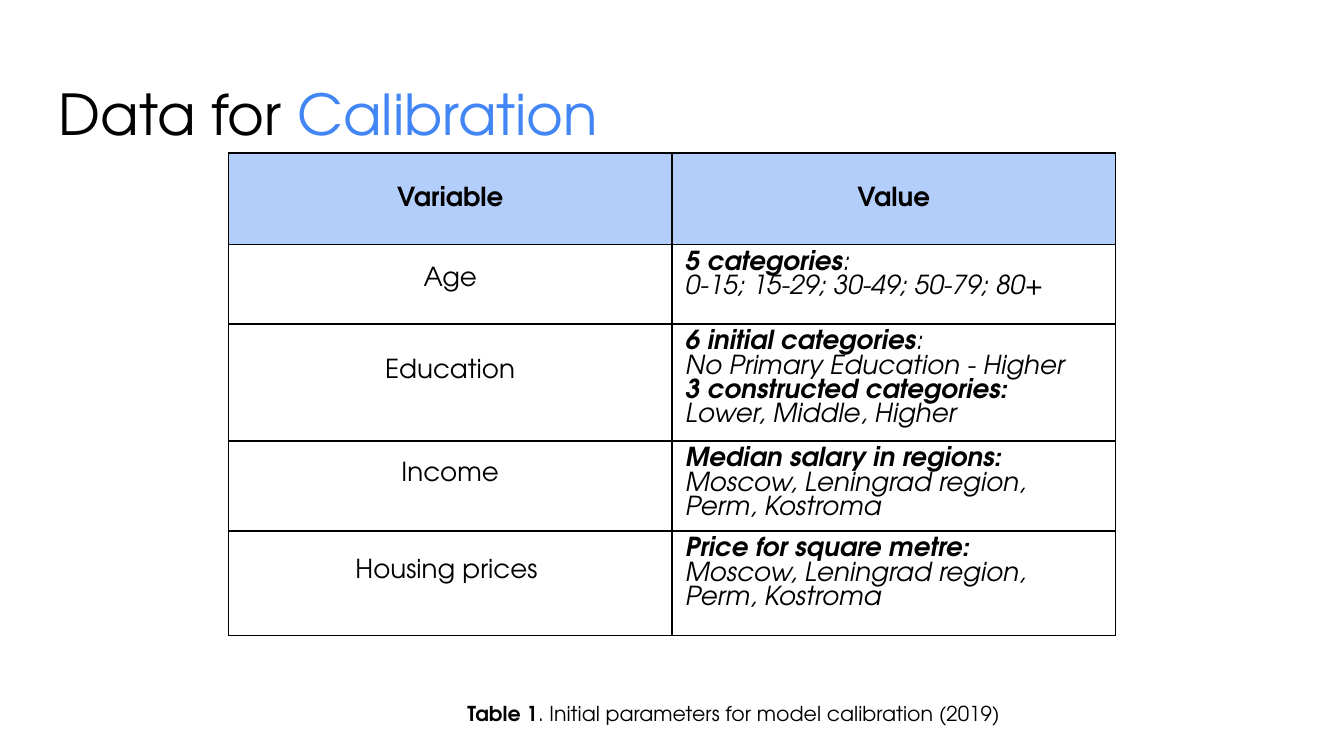
from lxml.etree import SubElement
from pptx import Presentation
from pptx.dml.color import RGBColor
from pptx.enum.text import MSO_ANCHOR, PP_ALIGN
from pptx.oxml.ns import qn
from pptx.util import Inches, Pt

FONT = "TeX Gyre Adventor"
BLACK = RGBColor(0x00, 0x00, 0x00)
BLUE = RGBColor(0x42, 0x85, 0xF4)
PALE_BLUE = RGBColor(0xB3, 0xCE, 0xFB)

REGIONS = "Moscow, Leningrad region, Perm, Kostroma"
HEADINGS = ["Variable", "Value"]
HEADING_HEIGHT = 0.68
VARIABLES = [
    ("Age", 0.59, 0.08, [[("5 categories", True), (":", False)],
                         [("0-15; 15-29; 30-49; 50-79; 80+", False)]]),
    ("Education", 0.87, 0.17, [[("6 initial categories", True), (":", False)],
                               [("No Primary Education - Higher", False)],
                               [("3 constructed categories:", True)],
                               [("Lower, Middle, Higher", False)]]),
    ("Income", 0.67, 0.17, [[("Median salary in regions:", True)],
                            [(REGIONS, False)]]),
    ("Housing prices ", 0.78, 0.17, [[("Price for square metre:", True)],
                                     [(REGIONS, False)]]),
]


def style_paragraph(para, size, bold=None, italic=None):
    """Set the font shared by every run of a paragraph."""
    para.font.name = FONT
    para.font.size = Pt(size)
    para.font.color.rgb = BLACK
    para.font.bold = bold
    para.font.italic = italic


def add_span(para, text, bold=None, color=None):
    """Append a run with its own weight or colour."""
    span = para.add_run()
    span.text = text
    span.font.bold = bold
    if color is not None:
        span.font.color.rgb = color


def add_text_box(page, left, top, width, height, size, inset):
    """Add a wrapping text box and return its paragraph."""
    box = page.shapes.add_textbox(Inches(left), Inches(top), Inches(width), Inches(height))
    frame = box.text_frame
    frame.word_wrap = True
    frame.margin_top = frame.margin_bottom = Inches(inset)
    para = frame.paragraphs[0]
    style_paragraph(para, size)
    return para


def add_title(page, left, top, width, height):
    """Place the two-colour title."""
    para = add_text_box(page, left, top, width, height, 30.2, 0.1)
    add_span(para, "Data for ")
    add_span(para, "Calibration", color=BLUE)


def add_caption(page, left, top, width, height):
    """Place the table caption."""
    para = add_text_box(page, left, top, width, height, 11, 0.05)
    add_span(para, "Table 1", bold=True)
    add_span(para, ". Initial parameters for model calibration (2019)")


def add_borders(cell):
    """Draw a thin black line on each side of a cell."""
    properties = cell._tc.get_or_add_tcPr()
    for side in ("a:lnL", "a:lnR", "a:lnT", "a:lnB"):
        line = SubElement(properties, qn(side), w=str(Pt(1)))
        fill = SubElement(line, qn("a:solidFill"))
        SubElement(fill, qn("a:srgbClr"), val=str(BLACK))


def fill_label(cell, text, lift, bold):
    """Write a centred label, raised by extra space below it."""
    cell.vertical_anchor = MSO_ANCHOR.MIDDLE
    cell.margin_bottom = Inches(0.05 + lift)
    para = cell.text_frame.paragraphs[0]
    para.alignment = PP_ALIGN.CENTER
    style_paragraph(para, 14, bold=bold, italic=False)
    add_span(para, text, bold=bold)


def fill_value(cell, lines):
    """Write tightly set italic lines."""
    frame = cell.text_frame
    for index, spans in enumerate(lines):
        para = frame.add_paragraph() if index else frame.paragraphs[0]
        para.line_spacing = Pt(13)
        style_paragraph(para, 14, italic=True)
        for text, bold in spans:
            add_span(para, text, bold=bold)


def add_variable_table(page, left, top, width):
    """Place the table of variables and their values."""
    heights = [HEADING_HEIGHT] + [height for _, height, _, _ in VARIABLES]
    frame = page.shapes.add_table(len(heights), len(HEADINGS), Inches(left), Inches(top),
                                  Inches(width), Inches(sum(heights)))
    table = frame.table
    table.first_row = table.horz_banding = False
    for row, height in zip(table.rows, heights):
        row.height = Inches(height)
    for cell in table.iter_cells():
        add_borders(cell)
        cell.fill.background()
    for column, heading in enumerate(HEADINGS):
        cell = table.cell(0, column)
        cell.fill.solid()
        cell.fill.fore_color.rgb = PALE_BLUE
        fill_label(cell, heading, 0, True)
    for row, (name, _, lift, lines) in enumerate(VARIABLES, start=1):
        fill_label(table.cell(row, 0), name, lift, False)
        fill_value(table.cell(row, 1), lines)


def main():
    """Build the slide and save it."""
    deck = Presentation()
    deck.slide_width = Inches(10)
    deck.slide_height = deck.slide_width * 9 // 16
    page = deck.slides.add_slide(deck.slide_layouts[6])
    add_title(page, 0.34, 0.49, 9.32, 0.63)
    add_variable_table(page, 1.7, 1.14, 6.6)
    add_caption(page, 3.38, 5.17, 4.62, 0.29)
    deck.save("out.pptx")


if __name__ == "__main__":
    main()
